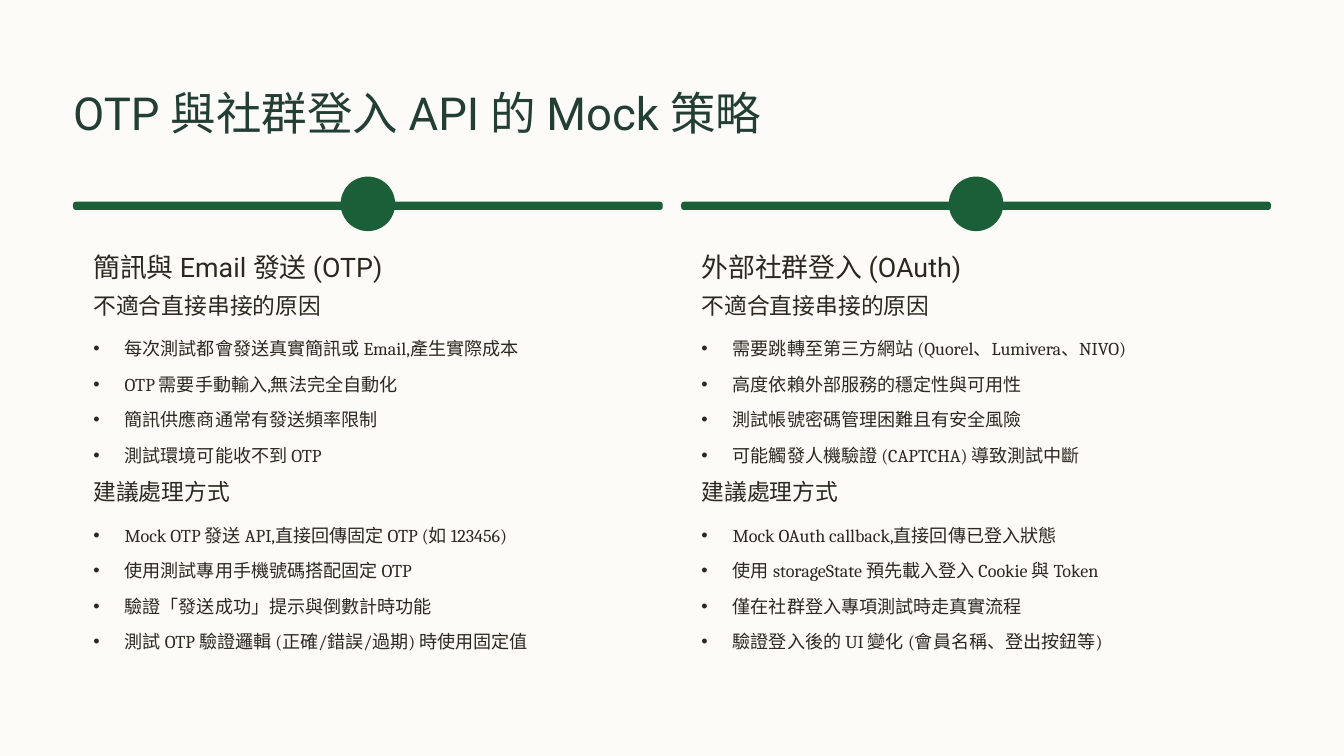
from dataclasses import dataclass

from lxml.etree import SubElement
from pptx import Presentation
from pptx.dml.color import RGBColor
from pptx.enum.shapes import MSO_SHAPE as Preset
from pptx.enum.text import MSO_ANCHOR as Anchor, MSO_AUTO_SIZE as AutoSize, PP_ALIGN as Align
from pptx.oxml.ns import qn
from pptx.slide import Slide
from pptx.text.text import TextFrame
from pptx.util import Cm, Pt

PAPER = RGBColor(0xFC, 0xFB, 0xF8)
GREEN = RGBColor(0x1B, 0x5F, 0x39)
TITLE_GREEN = RGBColor(0x23, 0x3E, 0x32)
INK = RGBColor(0x2C, 0x28, 0x21)

MARGIN = Cm(2.21)
COLUMN_WIDTH = Cm(17.83)
COLUMN_PITCH = Cm(18.39)
TEXT_INSET = Cm(0.61)
TEXT_WIDTH = COLUMN_WIDTH - 2 * TEXT_INSET
BAR_TOP, BAR_HEIGHT = Cm(6.1), Cm(0.25)
DOT_TOP, DOT_SIZE = Cm(5.34), Cm(1.65)
BULLET_INDENT = Cm(0.95)


@dataclass(frozen=True)
class TextStyle:
    font: str
    size: float
    line: float
    color: RGBColor = INK
    bullet: bool = False


@dataclass(frozen=True)
class Section:
    heading: str
    points: tuple[str, ...]


@dataclass(frozen=True)
class Column:
    heading: str
    sections: tuple[Section, ...]


TITLE = TextStyle("Roboto", 39, 48.5, TITLE_GREEN)
HEADING = TextStyle("Roboto", 23, 29)
SUBHEADING = TextStyle("Roboto", 19.5, 24)
POINT = TextStyle("Cambria", 15.5, 25, bullet=True)

REASONS = "不適合直接串接的原因"
ADVICE = "建議處理方式"

COLUMNS = (
    Column("簡訊與 Email 發送 (OTP)", (
        Section(REASONS, (
            "每次測試都會發送真實簡訊或 Email,產生實際成本",
            "OTP 需要手動輸入,無法完全自動化",
            "簡訊供應商通常有發送頻率限制",
            "測試環境可能收不到 OTP",
        )),
        Section(ADVICE, (
            "Mock OTP 發送 API,直接回傳固定 OTP (如 123456)",
            "使用測試專用手機號碼搭配固定 OTP",
            "驗證「發送成功」提示與倒數計時功能",
            "測試 OTP 驗證邏輯 (正確/錯誤/過期) 時使用固定值",
        )),
    )),
    Column("外部社群登入 (OAuth)", (
        Section(REASONS, (
            "需要跳轉至第三方網站 (Quorel、Lumivera、NIVO)",
            "高度依賴外部服務的穩定性與可用性",
            "測試帳號密碼管理困難且有安全風險",
            "可能觸發人機驗證 (CAPTCHA) 導致測試中斷",
        )),
        Section(ADVICE, (
            "Mock OAuth callback,直接回傳已登入狀態",
            "使用 storageState 預先載入登入 Cookie 與 Token",
            "僅在社群登入專項測試時走真實流程",
            "驗證登入後的 UI 變化 (會員名稱、登出按鈕等)",
        )),
    )),
)


def place_text(slide: Slide, index: int, left: int, top: int, width: int,
               height: int) -> TextFrame:
    """Move the placeholder with this index and return its frame without margins."""
    shape = next(s for s in slide.placeholders if s.placeholder_format.idx == index)
    shape.left, shape.top, shape.width, shape.height = left, top, width, height
    frame = shape.text_frame
    frame.margin_left = frame.margin_top = frame.margin_right = frame.margin_bottom = 0
    frame.vertical_anchor = Anchor.TOP
    frame.auto_size = AutoSize.NONE
    frame.word_wrap = True
    return frame


def add_line(frame: TextFrame, text: str, style: TextStyle, space_before: float = 0) -> None:
    """Fill the first paragraph if it is still empty, otherwise append one."""
    is_first = not frame.paragraphs[0].runs
    paragraph = frame.paragraphs[0] if is_first else frame.add_paragraph()
    paragraph.alignment = Align.LEFT
    paragraph.line_spacing = Pt(style.line)
    paragraph.space_before = Pt(0 if is_first else space_before)
    paragraph.space_after = Pt(0)
    properties = paragraph._p.get_or_add_pPr()
    indent = BULLET_INDENT if style.bullet else 0
    properties.set("marL", str(indent))
    properties.set("indent", str(-indent))
    if style.bullet:
        SubElement(properties, qn("a:buFont"), typeface="Arial")
        SubElement(properties, qn("a:buChar"), char="•")
    else:
        SubElement(properties, qn("a:buNone"))
    run = paragraph.add_run()
    run.text = text
    run.font.name = style.font
    run.font.size = Pt(style.size)
    run.font.bold = False
    run.font.color.rgb = style.color


def add_marker(slide: Slide, left: int) -> None:
    """Draw the green bar of a column with the dot at its middle."""
    bar = slide.shapes.add_shape(Preset.ROUNDED_RECTANGLE, left, BAR_TOP,
                                 COLUMN_WIDTH, BAR_HEIGHT)
    bar.adjustments[0] = 0.33
    dot_left = left + (COLUMN_WIDTH - DOT_SIZE) // 2
    dot = slide.shapes.add_shape(Preset.OVAL, dot_left, DOT_TOP, DOT_SIZE, DOT_SIZE)
    for shape in (bar, dot):
        shape.shadow.inherit = False
        shape.fill.solid()
        shape.fill.fore_color.rgb = GREEN
        shape.line.fill.background()


def add_column(slide: Slide, number: int, column: Column) -> None:
    left = MARGIN + number * COLUMN_PITCH
    add_marker(slide, left)
    text_left = left + TEXT_INSET
    heading_index = 1 + 2 * number
    heading = place_text(slide, heading_index, text_left, Cm(7.54), Cm(11), Cm(1.04))
    add_line(heading, column.heading, HEADING)
    body = place_text(slide, heading_index + 1, text_left, Cm(8.79), TEXT_WIDTH, Cm(10.95))
    for section in column.sections:
        add_line(body, section.heading, SUBHEADING, 9.6)
        for position, point in enumerate(section.points):
            add_line(body, point, POINT, 5.4 if position else 10)


def main() -> None:
    presentation = Presentation()
    presentation.slide_width, presentation.slide_height = Cm(40.64), Cm(22.86)
    comparison_layout = presentation.slide_layouts.get_by_name("Comparison")
    slide = presentation.slides.add_slide(comparison_layout)
    slide.background.fill.solid()
    slide.background.fill.fore_color.rgb = PAPER
    title = place_text(slide, 0, MARGIN, Cm(2.51), Cm(25), Cm(1.73))
    add_line(title, "OTP 與社群登入 API 的 Mock 策略", TITLE)
    for number, column in enumerate(COLUMNS):
        add_column(slide, number, column)
    presentation.save("out.pptx")


if __name__ == "__main__":
    main()
